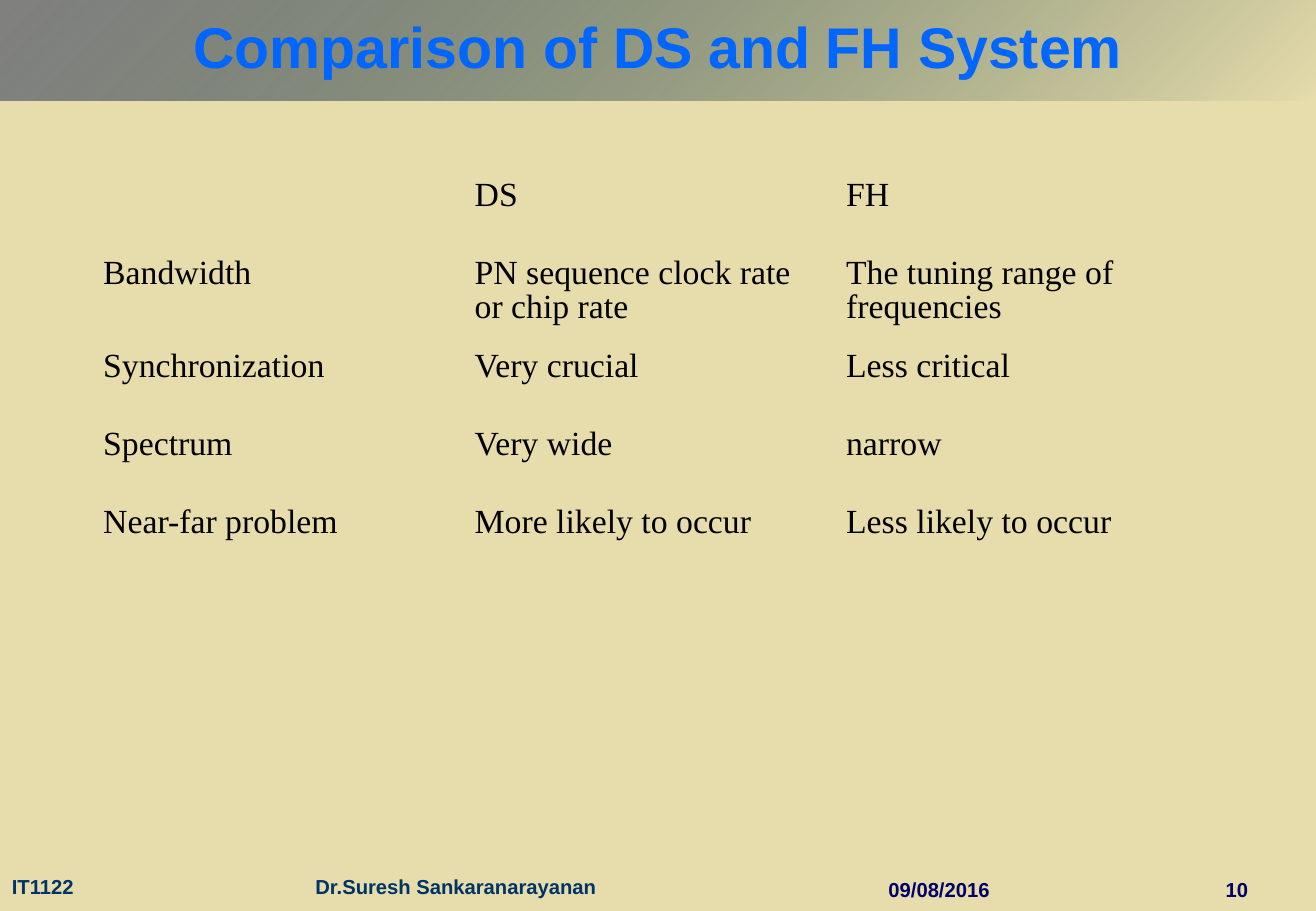
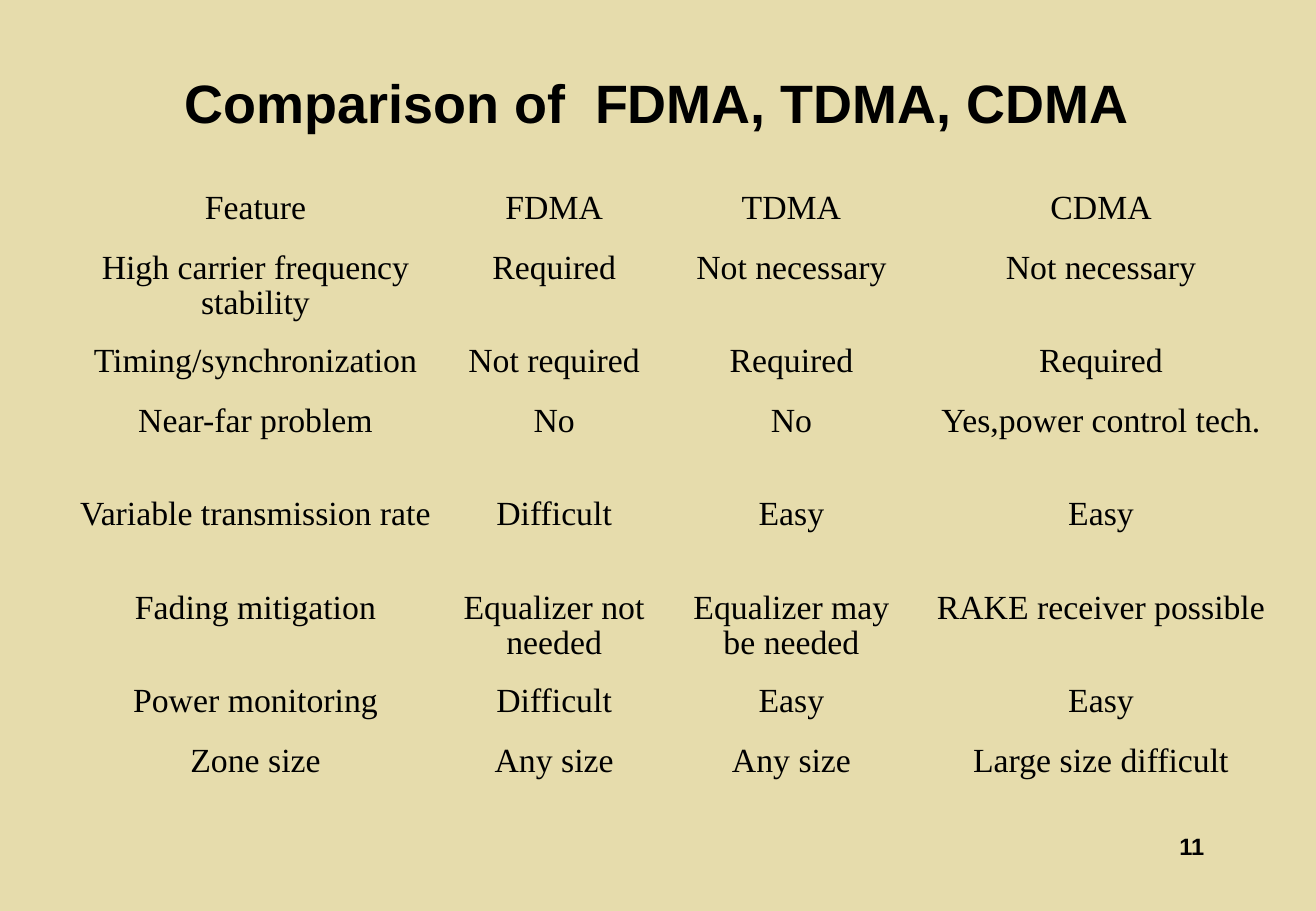
from dataclasses import dataclass
from typing import Optional

from lxml import etree
from pptx import Presentation
from pptx.dml.color import RGBColor
from pptx.enum import text as txt
from pptx.oxml import ns
from pptx.util import Inches, Pt

ALIGN = txt.PP_ALIGN
NO_STYLE_NO_GRID = "{2D5ABB26-0587-4C30-8999-92F81FD0307C}"


@dataclass(frozen=True)
class Theme:
    background: str = "E6DCAC"
    band_start: str = "808080"
    band_end: str = "002F2F"
    blue: str = "0066FF"
    navy: str = "000066"
    teal: str = "003366"
    black: str = "000000"
    heading_font: str = "Arial"
    table_font: str = "Times New Roman"
    band_title_size: float = 34
    title_size: float = 32
    table_size: float = 20
    number_size: float = 14
    footer_size: float = 12


THEME = Theme()


@dataclass(frozen=True)
class Box:
    left: float
    top: float
    width: float
    height: float


@dataclass(frozen=True)
class Style:
    size: float
    color: str
    font: str = THEME.heading_font
    bold: bool = True
    align: Optional[ALIGN] = None
    spacing: Optional[float] = None


@dataclass(frozen=True)
class Label:
    text: str
    box: Box
    style: Style
    tab: Optional[float] = None


@dataclass(frozen=True)
class Grid:
    left: float
    top: float
    columns: list[float]
    rows: list[float]
    side_margin: float
    align: ALIGN
    cells: list[list[str]]


@dataclass(frozen=True)
class Page:
    title: str
    title_box: Box
    title_style: Style
    title_margin: tuple[float, float]
    banded: bool
    grid: Grid
    labels: list[Label]


SHORT, TALL = 0.49, 0.77
FOOTER = Style(THEME.footer_size, THEME.navy)

PAGES = [
    Page(
        title="Comparison of DS and FH System",
        title_box=Box(0, 0, 10.84, 0.83),
        title_style=Style(THEME.band_title_size, THEME.blue, align=ALIGN.CENTER, spacing=0.87),
        title_margin=(0, 0),
        banded=True,
        grid=Grid(
            0.75, 1.42, [3.06] * 3, [0.64, TALL, 0.64, 0.64, 0.64], 0.1, ALIGN.LEFT,
            [
                ["", "DS", "FH"],
                ["Bandwidth", "PN sequence clock rate or chip rate",
                 "The tuning range of frequencies"],
                ["Synchronization", "Very crucial", "Less critical"],
                ["Spectrum", "Very wide", "narrow"],
                ["Near-far problem", "More likely to occur", "Less likely to occur"],
            ],
        ),
        labels=[
            Label("09/08/2016", Box(7.22, 7.17, 1.81, 0.33), FOOTER),
            Label("IT1122\tDr.Suresh Sankaranarayanan", Box(0, 7.15, 6.86, 0.35),
                  Style(THEME.footer_size, THEME.teal), tab=2.5),
            Label("10", Box(9.75, 7.17, 0.63, 0.33),
                  Style(THEME.footer_size, THEME.navy, align=ALIGN.RIGHT)),
        ],
    ),
    Page(
        title="Comparison of  FDMA, TDMA, CDMA",
        title_box=Box(0.81, 0.56, 9.21, 0.63),
        title_style=Style(THEME.title_size, THEME.black, align=ALIGN.CENTER, spacing=0.9),
        title_margin=(0.1, 0.05),
        banded=False,
        grid=Grid(
            0.54, 1.53, [3.13, 1.79, 2.12, 2.98],
            [SHORT, TALL, SHORT, TALL, TALL, TALL, SHORT, SHORT], 0.11, ALIGN.CENTER,
            [
                ["Feature", "FDMA", "TDMA", "CDMA"],
                ["High carrier frequency stability", "Required", "Not necessary", "Not necessary"],
                ["Timing/synchronization", "Not required", "Required", "Required"],
                ["Near-far problem", "No", "No", "Yes,power control tech."],
                ["Variable transmission rate", "Difficult", "Easy", "Easy"],
                ["Fading mitigation", "Equalizer not needed", "Equalizer may be needed",
                 "RAKE receiver possible"],
                ["Power monitoring", "Difficult", "Easy", "Easy"],
                ["Zone size", "Any size", "Any size", "Large size difficult"],
            ],
        ),
        labels=[
            Label("11", Box(7.76, 6.83, 2.26, 0.5),
                  Style(THEME.number_size, THEME.black, align=ALIGN.RIGHT, spacing=0.9)),
        ],
    ),
]


def rgb(color: str) -> RGBColor:
    return RGBColor.from_string(color)


def lengths(box: Box) -> list[int]:
    return [Inches(n) for n in (box.left, box.top, box.width, box.height)]


def write(paragraph, content: str, style: Style) -> None:
    paragraph.alignment = style.align
    paragraph.line_spacing = style.spacing
    run = paragraph.add_run()
    run.text = content
    run.font.name = style.font
    run.font.size = Pt(style.size)
    run.font.bold = style.bold
    run.font.color.rgb = rgb(style.color)


def set_margins(target, side: float, end: float) -> None:
    target.margin_left = target.margin_right = Inches(side)
    target.margin_top = target.margin_bottom = Inches(end)


def fill_band(title) -> None:
    """Fade from grey at the top left to clear at the bottom right."""
    title.fill.gradient()
    title.fill.gradient_angle = 315
    start, end = title.fill.gradient_stops
    for stop, position, color in ((start, 0, THEME.band_start), (end, 1, THEME.band_end)):
        stop.position = position
        stop.color.rgb = rgb(color)
    last_color = title.fill._xPr.findall(".//" + ns.qn("a:srgbClr"))[-1]
    etree.SubElement(last_color, ns.qn("a:alpha"), val="0")


def place_title(slide, page: Page) -> None:
    title = slide.shapes.title
    title.left, title.top, title.width, title.height = lengths(page.title_box)
    frame = title.text_frame
    frame.auto_size = txt.MSO_AUTO_SIZE.NONE
    frame.word_wrap = True
    frame.vertical_anchor = txt.MSO_ANCHOR.MIDDLE
    set_margins(frame, *page.title_margin)
    write(frame.paragraphs[0], page.title, page.title_style)
    if page.banded:
        fill_band(title)


def add_label(slide, label: Label) -> None:
    frame = slide.shapes.add_textbox(*lengths(label.box)).text_frame
    frame.word_wrap = True
    paragraph = frame.paragraphs[0]
    if label.tab is not None:
        stops = etree.SubElement(paragraph._p.get_or_add_pPr(), ns.qn("a:tabLst"))
        etree.SubElement(stops, ns.qn("a:tab"), pos=str(Inches(label.tab)), algn="l")
    write(paragraph, label.text, label.style)


def add_grid(slide, grid: Grid) -> None:
    box = Box(grid.left, grid.top, sum(grid.columns), sum(grid.rows))
    table = slide.shapes.add_table(len(grid.rows), len(grid.columns), *lengths(box)).table
    table.first_row = table.horz_banding = False
    table._tbl.find(".//" + ns.qn("a:tableStyleId")).text = NO_STYLE_NO_GRID
    for column, width in zip(table.columns, grid.columns):
        column.width = Inches(width)
    style = Style(THEME.table_size, THEME.black, THEME.table_font, False, grid.align, 0.93)
    for row, height, entries in zip(table.rows, grid.rows, grid.cells):
        row.height = Inches(height)
        for cell, entry in zip(row.cells, entries):
            cell.fill.background()
            set_margins(cell, grid.side_margin, 0.05)
            if entry:
                write(cell.text_frame.paragraphs[0], entry, style)


def main() -> None:
    prs = Presentation()
    prs.slide_width, prs.slide_height = Inches(10.84), Inches(7.5)
    backdrop = prs.slide_master.background.fill
    backdrop.solid()
    backdrop.fore_color.rgb = rgb(THEME.background)
    title_only = prs.slide_layouts.get_by_name("Title Only")
    for page in PAGES:
        slide = prs.slides.add_slide(title_only)
        place_title(slide, page)
        add_grid(slide, page.grid)
        for label in page.labels:
            add_label(slide, label)
    prs.save("out.pptx")


if __name__ == "__main__":
    main()
